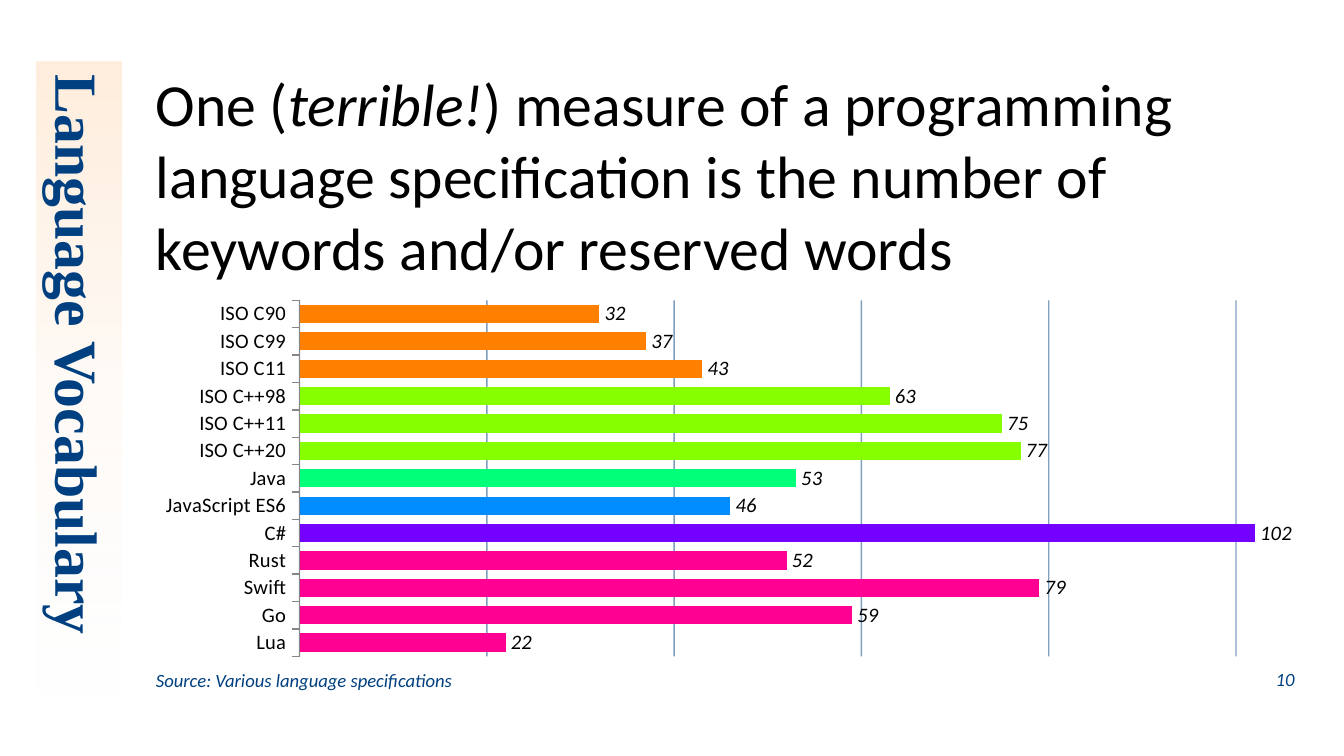
from dataclasses import dataclass

from lxml import etree
from pptx import Presentation
from pptx.chart.data import CategoryChartData
from pptx.dml.color import RGBColor
from pptx.enum import chart as ch, text
from pptx.oxml import ns
from pptx.util import Inches, Pt

COLORS = {
    "navy": "004080", "black": "000000", "axis": "868686", "cream": "FFEEDD",
    "c": "FF8001", "cpp": "86FF01", "java": "01FF7A",
    "javascript": "018CFF", "csharp": "7401FF", "newer": "FF0192",
}


@dataclass
class Box:
    left: float
    top: float
    width: float
    height: float

    def lengths(self) -> list:
        return [Inches(v) for v in (self.left, self.top, self.width, self.height)]


@dataclass
class Language:
    name: str
    keywords: int
    family: str


LANGUAGES = [
    Language("ISO C90", 32, "c"),
    Language("ISO C99", 37, "c"),
    Language("ISO C11", 43, "c"),
    Language("ISO C++98", 63, "cpp"),
    Language("ISO C++11", 75, "cpp"),
    Language("ISO C++20", 77, "cpp"),
    Language("Java", 53, "java"),
    Language("JavaScript ES6", 46, "javascript"),
    Language("C#", 102, "csharp"),
    Language("Rust", 52, "newer"),
    Language("Swift", 79, "newer"),
    Language("Go", 59, "newer"),
    Language("Lua", 22, "newer"),
]

TITLE_FONT = {"name": "Times New Roman", "size": Pt(32), "bold": True}
BODY_FONT = {"name": "Calibri", "size": Pt(32)}
NOTE_FONT = {"name": "Calibri", "size": Pt(10), "italic": True}
CHART_FONT = {"name": "Calibri", "size": Pt(11)}
LABEL_FONT = CHART_FONT | {"italic": True}


def rgb(color: str) -> RGBColor:
    return RGBColor.from_string(COLORS[color])


def format_font(font, values: dict, color: str) -> None:
    for name, value in values.items():
        setattr(font, name, value)
    font.color.rgb = rgb(color)


def write(shape, box: Box, runs: list, font: dict, color: str,
          anchor=text.MSO_ANCHOR.MIDDLE, align=text.PP_ALIGN.LEFT) -> None:
    """Place a shape and fill it with one paragraph of (wording, font changes) runs."""
    shape.left, shape.top, shape.width, shape.height = box.lengths()
    frame = shape.text_frame
    frame.word_wrap = True
    frame.auto_size = text.MSO_AUTO_SIZE.NONE
    frame.vertical_anchor = anchor
    paragraph = frame.paragraphs[0]
    paragraph.alignment = align
    for wording, changes in runs:
        run = paragraph.add_run()
        run.text = wording
        format_font(run.font, font | changes, color)


def remove_bullet(paragraph) -> None:
    properties = paragraph._p.get_or_add_pPr()
    properties.set("marL", "0")
    properties.set("indent", "0")
    etree.SubElement(properties, ns.qn("a:buNone"))


def add_alpha(color_element, percent: int) -> None:
    etree.SubElement(color_element, ns.qn("a:alpha"), val=str(percent * 1000))


def fade_out(shape, color: str) -> None:
    shape.fill.gradient()
    shape.fill.gradient_angle = 0
    stops = shape.element.spPr.find(".//" + ns.qn("a:gsLst"))
    for stop in list(stops):
        stops.remove(stop)
    for position, alpha in ((0, 100), (50, 25), (100, 0)):
        stop = etree.SubElement(stops, ns.qn("a:gs"), pos=str(position * 1000))
        add_alpha(etree.SubElement(stop, ns.qn("a:srgbClr"), val=COLORS[color]), alpha)


def set_plot_area(chart, plot: Box) -> None:
    """Fix the inner plot area, given as fractions of the chart."""
    area = chart.element.find(".//" + ns.qn("c:plotArea"))
    layout = area.find(ns.qn("c:layout"))
    if layout is None:
        layout = etree.Element(ns.qn("c:layout"))
        area.insert(0, layout)
    manual = etree.SubElement(layout, ns.qn("c:manualLayout"))
    values = {"layoutTarget": "inner", "xMode": "edge", "yMode": "edge",
              "x": plot.left, "y": plot.top, "w": plot.width, "h": plot.height}
    for name, value in values.items():
        etree.SubElement(manual, ns.qn(f"c:{name}"), val=str(value))


def add_keyword_chart(slide, box: Box) -> None:
    data = CategoryChartData()
    data.categories = [language.name for language in LANGUAGES]
    data.add_series("Series 1", [language.keywords for language in LANGUAGES])
    chart = slide.shapes.add_chart(
        ch.XL_CHART_TYPE.BAR_CLUSTERED, *box.lengths(), data).chart
    chart.has_legend = chart.has_title = False
    format_font(chart.font, CHART_FONT, "black")
    set_plot_area(chart, Box(0.135, 0.02, 0.845, 0.96))

    categories = chart.category_axis
    categories.reverse_order = True
    categories.major_tick_mark = ch.XL_TICK_MARK.OUTSIDE
    categories.format.line.color.rgb = rgb("axis")
    categories.format.line.width = Pt(0.75)

    values = chart.value_axis
    for name, value in {"minimum_scale": 0, "maximum_scale": 105, "major_unit": 20,
                        "has_major_gridlines": True, "visible": False}.items():
        setattr(values, name, value)
    gridline = values.major_gridlines.format.line
    gridline.color.rgb = rgb("navy")
    gridline.width = Pt(0.75)
    add_alpha(chart.element.xpath(".//c:majorGridlines//a:srgbClr")[0], 50)

    plot = chart.plots[0]
    plot.gap_width = 50
    plot.vary_by_categories = False
    series = plot.series[0]
    series.format.fill.solid()
    series.format.fill.fore_color.rgb = rgb("c")
    for index, language in enumerate(LANGUAGES):
        if language.family != "c":
            fill = series.points[index].format.fill
            fill.solid()
            fill.fore_color.rgb = rgb(language.family)

    labels = series.data_labels
    labels.show_value = True
    labels.position = ch.XL_LABEL_POSITION.OUTSIDE_END
    format_font(labels.font, LABEL_FONT, "black")


def main() -> None:
    presentation = Presentation()
    presentation.slide_width = Inches(10)
    presentation.slide_height = presentation.slide_width * 9 // 16
    slide = presentation.slides.add_slide(presentation.slide_layouts[3])
    title, body, source = slide.placeholders

    write(title, Box(-1.77, 2.5, 4.72, 0.63), [("Language Vocabulary", {})],
          TITLE_FONT, "navy")
    title.rotation = 90
    fade_out(title, "cream")

    statement = [
        ("One (", {}),
        ("terrible!", {"italic": True}),
        (") measure of a programming language specification is the number of "
         "keywords and/or reserved words", {}),
    ]
    write(body, Box(1.06, 0.45, 8.66, 4.33), statement, BODY_FONT, "black",
          anchor=text.MSO_ANCHOR.TOP)
    write(source, Box(1.06, 4.94, 7.87, 0.24),
          [("Source: Various language specifications", {})], NOTE_FONT, "navy")
    for placeholder in (body, source):
        remove_bullet(placeholder.text_frame.paragraphs[0])

    number_box = Box(8.94, 4.94, 0.79, 0.22)
    page_number = slide.shapes.add_textbox(*number_box.lengths())
    write(page_number, number_box, [("10", {})], NOTE_FONT, "navy",
          align=text.PP_ALIGN.RIGHT)

    add_keyword_chart(slide, Box(1.06, 2.18, 8.66, 2.76))
    presentation.save("out.pptx")


if __name__ == "__main__":
    main()
